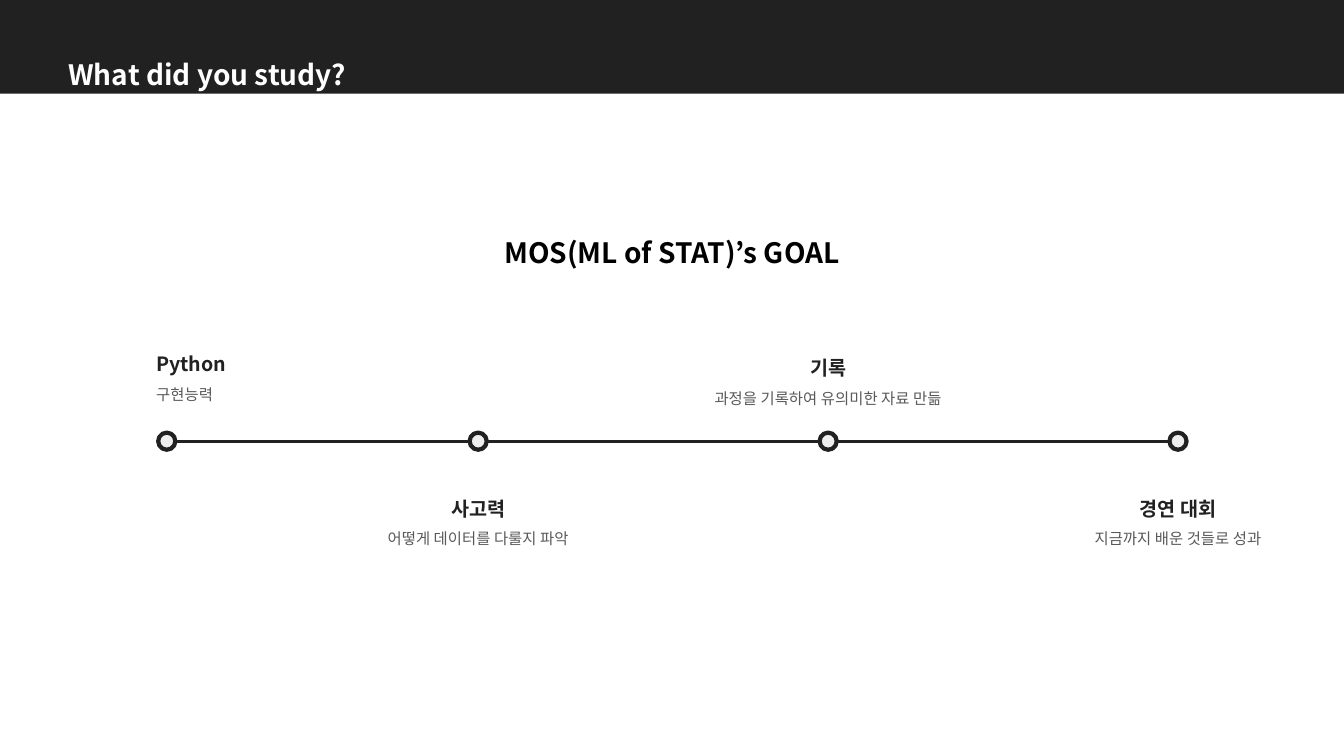
"""Build the study-goal timeline slide on a grid of 100 columns by 100 rows."""
from dataclasses import dataclass

from lxml import etree
from pptx import Presentation
from pptx import util as u
from pptx.dml.color import RGBColor
from pptx.enum import shapes, text
from pptx.oxml import ns


@dataclass(frozen=True)
class Theme:
    font: str = "Noto Sans CJK KR"
    dark: str = "212121"
    grey: str = "595959"
    dot: str = "EEEEEE"
    white: str = "FFFFFF"
    black: str = "000000"
    heading: int = 20
    label: int = 14
    detail: int = 11
    axis: float = 2.25
    ring: float = 3
    spacing: float = 1.5


@dataclass(frozen=True)
class Line:
    words: str
    size: int
    color: str
    bold: bool = True


@dataclass(frozen=True)
class Milestone:
    center: float
    top: float
    width: float
    label: str
    detail: str
    centered: bool = True


THEME = Theme()
WIDTH, HEIGHT = u.Inches(13.33), u.Inches(7.5)
AXIS_ROW = 58.36
DOT = u.Inches(0.17)
LABEL_OFFSET = 1.53
ABOVE, BELOW = 44.4, 63.47
MILESTONES = (
    Milestone(12.41, ABOVE, 16.13, "Python", "구현능력", centered=False),
    Milestone(35.58, BELOW, 17.85, "사고력", "어떻게 데이터를 다룰지 파악"),
    Milestone(61.62, ABOVE + 0.53, 22.43, "기록", "과정을 기록하여 유의미한 자료 만듦"),
    Milestone(87.65, BELOW, 16.13, "경연 대회", "지금까지 배운 것들로 성과"),
)


def col(share: float) -> int:
    return round(WIDTH * share / 100)


def row(share: float) -> int:
    return round(HEIGHT * share / 100)


def rgb(value: str) -> RGBColor:
    return RGBColor.from_string(value)


def add_text(page, left: float, top: float, width: float, height: float,
             lines: list[Line], centered: bool) -> None:
    box = page.shapes.add_textbox(col(left), row(top), col(width), row(height))
    frame = box.text_frame
    frame.word_wrap = True
    frame.auto_size = text.MSO_AUTO_SIZE.SHAPE_TO_FIT_TEXT
    frame.text = "\n".join(line.words for line in lines)
    for para, line in zip(frame.paragraphs, lines):
        para.alignment = text.PP_ALIGN.CENTER if centered else text.PP_ALIGN.LEFT
        para.line_spacing = THEME.spacing
        for span in para.runs:
            span.font.name = THEME.font
            span.font.size = u.Pt(line.size)
            span.font.bold = line.bold
            span.font.color.rgb = rgb(line.color)
            east_asian = etree.SubElement(span.font._element, ns.qn("a:ea"))
            east_asian.set("typeface", THEME.font)


def add_header(page) -> None:
    bar = page.shapes.add_shape(shapes.MSO_SHAPE.RECTANGLE, 0, 0, WIDTH, row(12.4))
    bar.shadow.inherit = False
    bar.fill.solid()
    bar.fill.fore_color.rgb = rgb(THEME.dark)
    bar.line.fill.background()
    title = Line("What\u00a0did\u00a0you\u00a0study?".replace("\u00a0", " "),
                 THEME.heading, THEME.white)
    add_text(page, 4.35, 4.67, 39.6, 7.2, [title], centered=False)


def add_axis(page) -> None:
    start = col(MILESTONES[0].center) + DOT // 2
    axis = page.shapes.add_connector(shapes.MSO_CONNECTOR.STRAIGHT, start, row(AXIS_ROW),
                                     col(MILESTONES[-1].center), row(AXIS_ROW))
    axis.line.color.rgb = rgb(THEME.dark)
    axis.line.width = u.Pt(THEME.axis)
    etree.SubElement(axis._element.spPr, ns.qn("a:effectLst"))


def add_milestone(page, stone: Milestone) -> None:
    dot = page.shapes.add_shape(shapes.MSO_SHAPE.OVAL, col(stone.center) - DOT // 2,
                                row(AXIS_ROW) - DOT // 2, DOT, DOT)
    dot.shadow.inherit = False
    dot.fill.solid()
    dot.fill.fore_color.rgb = rgb(THEME.dot)
    dot.line.color.rgb = rgb(THEME.dark)
    dot.line.width = u.Pt(THEME.ring)
    offset = stone.width / 2 if stone.centered else LABEL_OFFSET
    lines = [Line(stone.label, THEME.label, THEME.dark),
             Line(stone.detail, THEME.detail, THEME.grey, bold=False)]
    add_text(page, stone.center - offset, stone.top, stone.width, 9.6, lines, stone.centered)


def main() -> None:
    deck = Presentation()
    deck.slide_width, deck.slide_height = WIDTH, HEIGHT
    page = deck.slides.add_slide(deck.slide_layouts[6])
    add_header(page)
    add_axis(page)
    for stone in MILESTONES:
        add_milestone(page, stone)
    goal = Line("MOS(ML of STAT)’s GOAL", THEME.heading, THEME.black)
    add_text(page, 30.2, 28.27, 39.6, 7.2, [goal], centered=True)
    deck.save("out.pptx")


if __name__ == "__main__":
    main()
